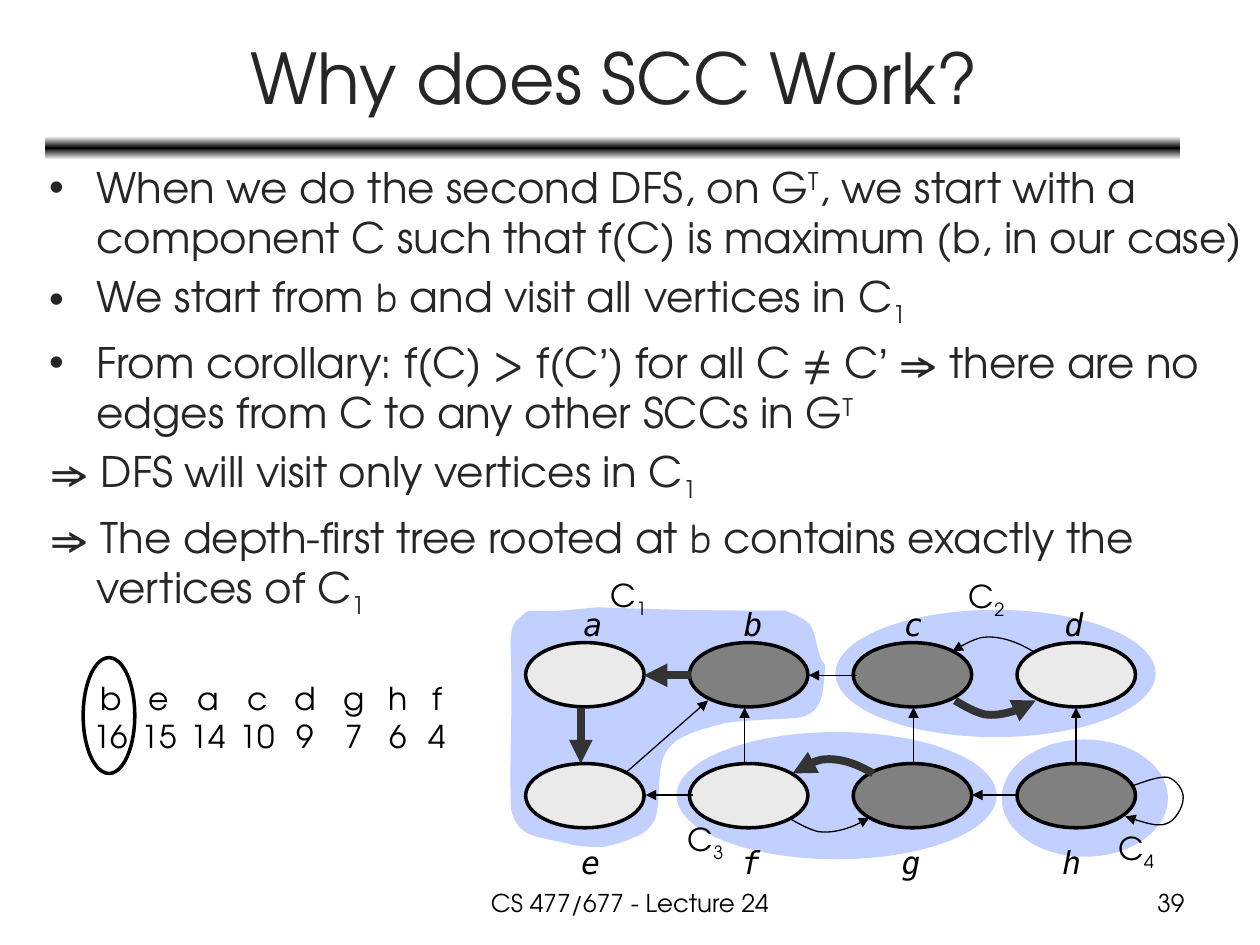
from dataclasses import dataclass

from lxml import etree
from pptx import Presentation
from pptx.dml.color import RGBColor
from pptx.enum.shapes import MSO_CONNECTOR, MSO_SHAPE
from pptx.enum.text import MSO_ANCHOR, PP_ALIGN
from pptx.oxml.ns import qn
from pptx.util import Pt

LEFT, CENTER, RIGHT = PP_ALIGN.LEFT, PP_ALIGN.CENTER, PP_ALIGN.RIGHT
TOP, MIDDLE = MSO_ANCHOR.TOP, MSO_ANCHOR.MIDDLE
OVAL, ROUNDED = MSO_SHAPE.OVAL, MSO_SHAPE.ROUNDED_RECTANGLE
STRAIGHT = MSO_CONNECTOR.STRAIGHT


@dataclass(frozen=True)
class Theme:
    font: str = "TeX Gyre Adventor"
    letter_font: str = "Comic Neue"
    plain_font: str = "Arial"
    node_font: str = "DejaVu Sans Mono"
    black: str = "000000"
    white: str = "FFFFFF"
    ink: str = "262626"
    tree: str = "333333"
    light: str = "EAEAEA"
    dark: str = "808080"
    region: str = "3366FF"
    region_alpha: int = 30
    title: int = 40
    body: int = 24
    label: int = 18
    footer: int = 14
    outline: float = 2
    thin: float = 0.75
    thick: float = 4.5


THEME = Theme()
SUPER, SUB = {"base": 30}, {"base": -25}
LETTER, QUOTE = {"font": THEME.letter_font}, {"font": THEME.plain_font}

BODY = [
    ("•", [("When we do the second DFS, on G", {}), ("T", SUPER),
           (", we start with a component C such that f(C) is maximum (b, in our case)", {})]),
    ("•", [("We start from ", {}), ("b", LETTER),
           (" and visit all vertices in C", {}), ("1", SUB)]),
    ("•", [("From corollary: f(C) > f(C", {}), ("’", QUOTE), (") for all C ≠ C", {}),
           ("’ ", QUOTE), ("⇒ there are no edges from C to any other SCCs in G", {}),
           ("T", SUPER)]),
    (None, [("⇒ DFS will visit only vertices in C", {}), ("1", SUB)]),
    (None, [("⇒ The depth-first tree rooted at ", {}), ("b", LETTER),
            (" contains exactly the vertices of C", {}), ("1", SUB)]),
]

# Curves: a start point, then two control points and an end point per segment
C1_OUTLINE = [
    (303, 349), (317, 350), (329, 348), (342, 347), (377, 348.5), (413, 349), (448.6, 349),
    (454, 351), (459, 353), (463, 357), (466, 361), (467, 372), (469.4, 377),
    (470, 379), (471, 378), (471.6, 380), (470.2, 395), (471.6, 409), (453.6, 410.4),
    (445, 411), (424, 411.6), (414, 413.3), (404, 416), (395, 418), (387, 423),
    (383, 426), (380, 430), (379, 433), (375, 446), (378, 458), (374, 469),
    (370, 475), (367, 477), (361, 479), (357, 481), (350, 483), (345, 484),
    (338, 484), (331, 484), (324, 482), (316, 480), (307, 479), (301, 476),
    (296, 473), (293, 468), (292, 462), (291, 434), (293, 406), (292, 377),
    (292, 371), (290, 357), (297, 353), (299, 351), (301, 349), (303, 349),
]
SELF_LOOP = [
    (646.6, 449.3), (654.5, 446.4), (662.4, 443.5), (667.4, 444.2),
    (672.5, 445.7), (676.8, 452.2), (676.1, 456.5), (676.1, 460.8), (671.8, 469.4),
    (666, 470.9), (661, 472.3), (651.6, 469.4), (643, 466.6),
]
ARC = [(0, 0), (5.8, 3.6), (11.5, 6.5), (16.6, 7.9), (22.3, 8.6), (26.6, 7.9),
       (31.7, 6.5), (36.7, 5), (41, 2.9), (46.1, 0)]


class SlideBuilder:
    def __init__(self, slide, theme):
        self.slide, self.theme = slide, theme

    def style_run(self, run, size, color, font=None, base=0, italic=False):
        run.font.name = font or self.theme.font
        run.font.size = Pt(size)
        run.font.color.rgb = RGBColor.from_string(color)
        run.font.italic = italic
        if base:
            run._r.get_or_add_rPr().set("baseline", str(base * 1000))

    def text(self, at, paragraphs, size, color=None, align=LEFT, anchor=TOP, wrap=True, **look):
        """Each paragraph is a list of (text, run style) pairs."""
        box = self.slide.shapes.add_textbox(*map(Pt, at))
        frame = box.text_frame
        frame.word_wrap = wrap
        frame.vertical_anchor = anchor
        for index, spans in enumerate(paragraphs):
            para = frame.add_paragraph() if index else frame.paragraphs[0]
            para.alignment = align
            for words, style in spans:
                span = para.add_run()
                span.text = words
                self.style_run(span, size, color or self.theme.black, **{**look, **style})
        return frame

    def bullets(self, at, items):
        frame = self.text(at, [spans for _, spans in items], self.theme.body, self.theme.ink)
        for para, (mark, _) in zip(frame.paragraphs, items):
            para.space_before = Pt(0.2 * self.theme.body)
            props = para._p.get_or_add_pPr()
            props.set("marL", str(Pt(27)))
            props.set("indent", str(Pt(-27)))
            if mark:
                etree.SubElement(props, qn("a:buFont"), typeface=self.theme.plain_font)
                etree.SubElement(props, qn("a:buChar"), char=mark)
            else:
                etree.SubElement(props, qn("a:buNone"))

    def paint(self, shape, fill=None, line=None, width=0, alpha=None):
        shape.shadow.inherit = False
        if fill:
            shape.fill.solid()
            shape.fill.fore_color.rgb = RGBColor.from_string(fill)
        else:
            shape.fill.background()
        if alpha:
            color = shape._element.spPr.find(".//" + qn("a:srgbClr"))
            etree.SubElement(color, qn("a:alpha"), val=str(alpha * 1000))
        if line:
            shape.line.color.rgb = RGBColor.from_string(line)
            shape.line.width = Pt(width)
        else:
            shape.line.fill.background()

    def oval(self, at, **look):
        self.paint(self.slide.shapes.add_shape(OVAL, *map(Pt, at)), **look)

    def gradient_bar(self, at):
        bar = self.slide.shapes.add_shape(ROUNDED, *map(Pt, at))
        self.paint(bar)
        bar.fill.gradient()
        bar.fill.gradient_angle = 90
        stops = bar._element.spPr.find(".//" + qn("a:gsLst"))
        for stop in list(stops):
            stops.remove(stop)
        for place, color in ((0, self.theme.white), (50, self.theme.black), (100, self.theme.white)):
            stop = etree.SubElement(stops, qn("a:gs"), pos=str(place * 1000))
            etree.SubElement(stop, qn("a:srgbClr"), val=color)

    def curve(self, points, closed=False, **look):
        corners = [(Pt(x), Pt(y)) for x, y in points]
        builder = self.slide.shapes.build_freeform(*corners[0], scale=1.0)
        builder.add_line_segments(corners[1:], close=closed)
        shape = builder.convert_to_shape()
        # Join every three line segments into one Bezier segment
        segments = shape._element.findall(".//" + qn("a:lnTo"))
        for first in range(0, len(points) - 1, 3):
            bezier = etree.Element(qn("a:cubicBezTo"))
            segments[first].addprevious(bezier)
            for segment in segments[first:first + 3]:
                bezier.append(segment[0])
                segment.getparent().remove(segment)
        self.paint(shape, **look)
        return shape

    def stroke(self, thick):
        theme = self.theme
        return (theme.tree, theme.thick) if thick else (theme.black, theme.thin)

    def add_head(self, shape):
        etree.SubElement(shape.line._get_or_add_ln(), qn("a:tailEnd"), type="triangle")

    def curved_arrow(self, points, thick=False):
        color, width = self.stroke(thick)
        self.add_head(self.curve(points, line=color, width=width))

    def arrow(self, start, end, thick=False):
        color, width = self.stroke(thick)
        link = self.slide.shapes.add_connector(STRAIGHT, *map(Pt, start + end))
        link.line.color.rgb = RGBColor.from_string(color)
        link.line.width = Pt(width)
        self.add_head(link)
        etree.SubElement(link._element.spPr, qn("a:effectLst"))


def main():
    deck = Presentation()
    deck.slide_width, deck.slide_height = Pt(720), Pt(540)
    page = SlideBuilder(deck.slides.add_slide(deck.slide_layouts[6]), THEME)

    # Title, rule, footer and body
    page.gradient_bar((26, 77.8, 648.7, 13.5))
    page.text((246, 504, 228, 25), [[("CS 477/677 - Lecture 24", {})]], THEME.footer, align=CENTER)
    page.text((516, 504, 168, 25), [[("39", {})]], THEME.footer, align=RIGHT)
    page.text((27, 8, 648, 71), [[("Why does SCC Work?", {})]], THEME.title, THEME.ink,
              align=CENTER, anchor=MIDDLE)
    page.bullets((21, 88.7, 699, 281), BODY)

    # Component regions and their names
    region = {"fill": THEME.region, "alpha": THEME.region_alpha}
    page.curve(C1_OUTLINE, closed=True, **region)
    for at in ((572.4, 422.6, 95, 67), (477.4, 348.5, 183, 72.7), (386.6, 418.3, 183, 72.7)):
        page.oval(at, **region)
    for number, (x, y) in enumerate([(342, 325.5), (546.5, 326), (386, 465), (632, 470)], 1):
        page.text((x, y, 36, 29), [[("C", {}), (str(number), SUB)]], THEME.label, wrap=False)

    # Graph vertices: (names, node top, label left, label top, dark nodes)
    for names, top, label_left, label_top, dark in (
            ("abcd", 367.2, 326.3, 342, "bc"), ("efgh", 436.3, 325, 478, "gh")):
        for column, name in enumerate(names):
            page.oval((300.4 + 93.6 * column, top, 67.7, 36.7),
                      fill=THEME.dark if name in dark else THEME.light,
                      line=THEME.black, width=THEME.outline)
            page.text((label_left + 91.6 * column, label_top, 22, 29), [[(name, {})]],
                      THEME.label, wrap=False, font=THEME.node_font, italic=True)

    # Edges; thick ones belong to the depth-first trees
    page.arrow((394.6, 385.9), (367.9, 385.9), thick=True)
    page.arrow((331.9, 404.6), (331.9, 436.3), thick=True)
    page.arrow((489.6, 385.9), (462.2, 385.9))
    for x in (396, 582.5):
        page.arrow((x, 454.3), (x - 27, 454.3))
    for x in (425.5, 522, 614.9):
        page.arrow((x, 436), (x, 404.3))
    page.arrow((357.8, 441.4), (404.6, 400.3))
    for left, y, bend, thick in ((452.9, 442, -1, True), (544.3, 372.2, -1, False),
                                 (545.8, 400.3, 1, True), (450.7, 467.3, 1, False)):
        # Upper arcs run right to left, lower arcs left to right
        page.curved_arrow([(left + dx, y + bend * dy) for dx, dy in ARC][::bend], thick)
    page.curved_arrow(SELF_LOOP)

    # Finishing times, with the latest one circled
    times = [("b", 16, 63.4), ("e", 15, 91), ("a", 14, 119), ("c", 10, 147),
             ("d", 9, 174.5), ("g", 7, 202.3), ("h", 6, 227.5), ("f", 4, 250)]
    for name, time, middle in times:
        page.text((middle - 22, 384.5, 44, 50), [[(name, {})], [(str(time), {})]],
                  THEME.label, align=CENTER)
    page.oval((47.5, 375.8, 29.5, 66.2), line=THEME.black, width=THEME.outline)

    deck.save("out.pptx")


if __name__ == "__main__":
    main()
